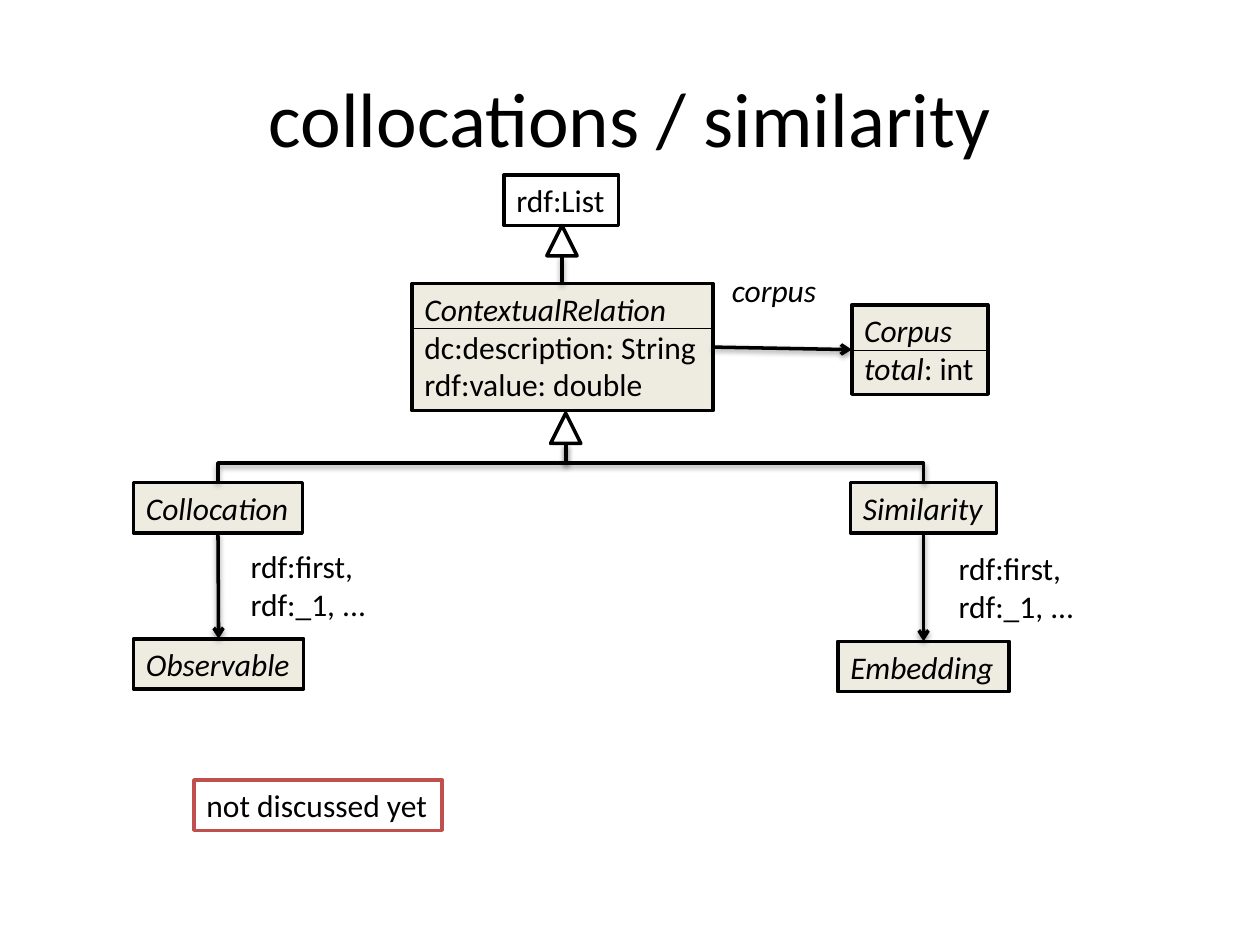
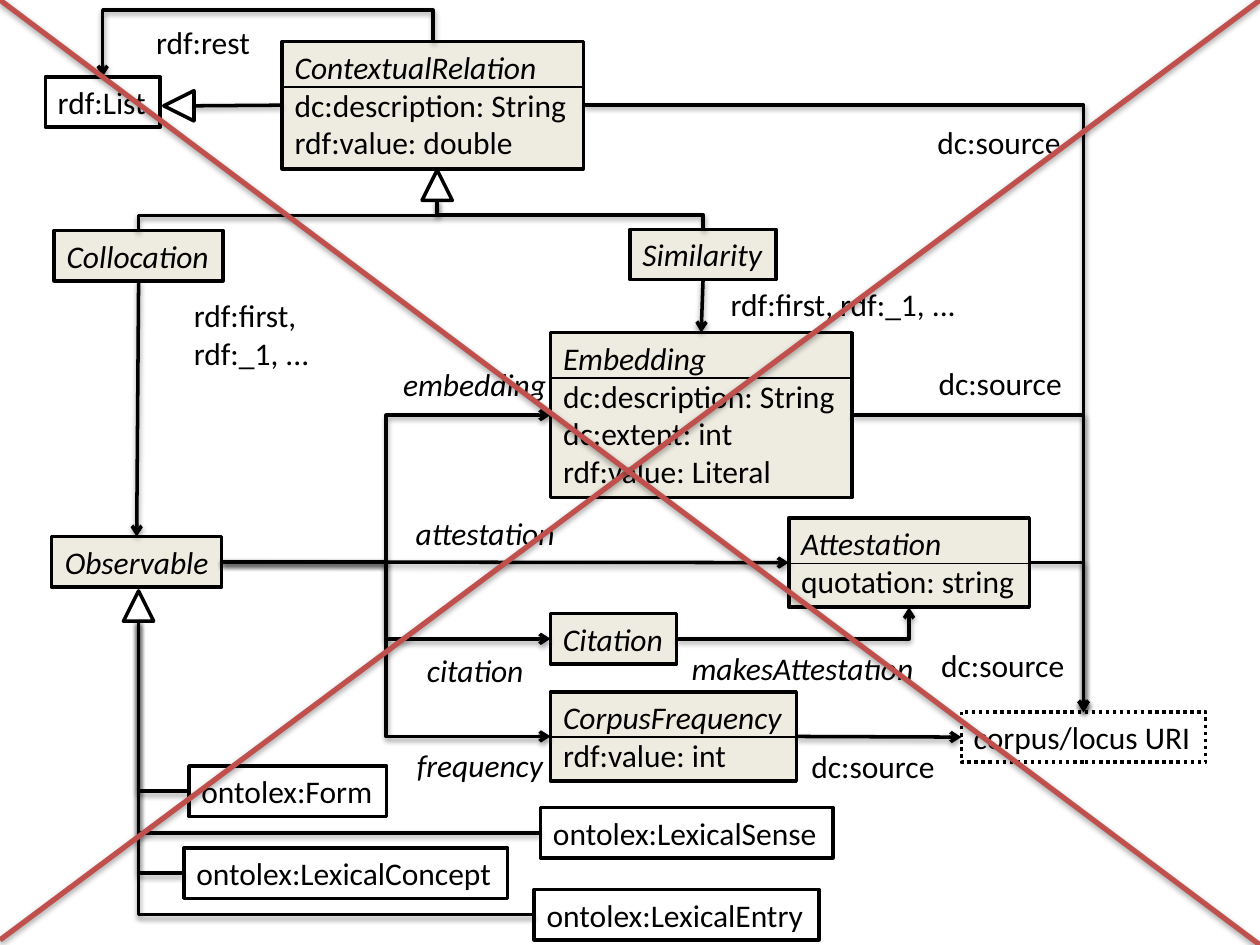
from dataclasses import dataclass
from typing import Optional

from lxml import etree
from pptx import Presentation
from pptx import util as u
from pptx.dml.color import RGBColor
from pptx.enum import dml, shapes, text
from pptx.oxml import ns

# Shared style
FONT = "Calibri"
BLACK, WHITE, CREAM, RED = "000000", "FFFFFF", "EEECE1", "C0504D"
BODY_SIZE, TITLE_SIZE = 18, 44
HEIGHTS = {1: 0.4, 2: 0.71, 3: 1.01, 4: 1.31}  # box height by line count
DIVIDER_DROP = 0.36
TRIANGLE = 0.24
LIST_ITEMS = "rdf:first,\nrdf:_1, ..."

Point = tuple[float, float]


@dataclass
class Box:
    """Framed text; words between asterisks are italic."""
    words: str
    left: float
    top: float
    width: float
    fill: Optional[str] = CREAM
    outline: Optional[str] = BLACK
    dotted: bool = False
    centred: bool = False
    wrap: bool = False

    @property
    def lines(self) -> int:
        return self.words.count("\n") + 1

    @property
    def height(self) -> float:
        return HEIGHTS[self.lines]

    @property
    def north(self) -> Point:
        return self.left + self.width / 2, self.top

    @property
    def south(self) -> Point:
        return self.left + self.width / 2, self.top + self.height

    @property
    def west(self) -> Point:
        return self.left, self.top + self.height / 2

    @property
    def east(self) -> Point:
        return self.left + self.width, self.top + self.height / 2


@dataclass
class Link:
    """Connector with 0, 1 or 2 bends."""
    start: Point
    end: Point
    bends: int = 0
    downward: bool = False  # leaves the start vertically
    arrow: bool = True
    adjust: float = 0.5
    color: str = BLACK
    weight: float = 2
    shadow: bool = True


@dataclass
class Triangle:
    left: float
    top: float
    rotation: int = 0

    @property
    def base(self) -> Point:
        return self.left + TRIANGLE / 2, self.top + TRIANGLE


def rgb(value: str) -> RGBColor:
    return RGBColor.from_string(value)


def label(words: str, left: float, top: float, width: float, wrap: bool = False) -> Box:
    return Box(words, left, top, width, fill=None, outline=None, wrap=wrap)


def plain(words: str, left: float, top: float, width: float, outline: str = BLACK) -> Box:
    return Box(words, left, top, width, WHITE, outline)


def contextual_relation(left: float, top: float) -> Box:
    return Box("*ContextualRelation*\ndc:description: String\nrdf:value: double", left, top, 2.39)


def write(frame, words: str, size: float) -> None:
    """Fill a text frame, one paragraph a line."""
    for number, line in enumerate(words.split("\n")):
        paragraph = frame.add_paragraph() if number else frame.paragraphs[0]
        paragraph.alignment = text.PP_ALIGN.LEFT
        pieces = [(piece, i % 2 == 1) for i, piece in enumerate(line.split("*")) if piece]
        paragraph.text = pieces[0][0]
        for piece, _ in pieces[1:]:
            paragraph.add_run().text = piece
        for run, (_, italic) in zip(paragraph.runs, pieces):
            run.font.name, run.font.size, run.font.italic = FONT, u.Pt(size), italic
            run.font.color.rgb = rgb(BLACK)


def draw_title(slide, words: str) -> None:
    title = slide.shapes.add_textbox(u.Inches(0.5), u.Inches(0.3), u.Inches(9), u.Inches(1.25))
    title.text_frame.word_wrap = True
    title.text_frame.vertical_anchor = text.MSO_ANCHOR.MIDDLE
    write(title.text_frame, words, TITLE_SIZE)
    title.text_frame.paragraphs[0].alignment = text.PP_ALIGN.CENTER


def draw_box(slide, box: Box) -> None:
    area = [u.Inches(v) for v in (box.left, box.top, box.width, box.height)]
    if box.outline:
        shape = slide.shapes.add_shape(shapes.MSO_SHAPE.RECTANGLE, *area)
        shape.shadow.inherit = False
        shape.line.color.rgb, shape.line.width = rgb(box.outline), u.Pt(2)
        if box.dotted:
            shape.line.dash_style = dml.MSO_LINE.ROUND_DOT
    else:
        shape = slide.shapes.add_textbox(*area)
    if box.fill:
        shape.fill.solid()
        shape.fill.fore_color.rgb = rgb(box.fill)
    else:
        shape.fill.background()
    frame = shape.text_frame
    frame.word_wrap = box.wrap
    frame.auto_size = text.MSO_AUTO_SIZE.SHAPE_TO_FIT_TEXT
    frame.vertical_anchor = text.MSO_ANCHOR.TOP
    write(frame, box.words, BODY_SIZE)
    if box.centred:
        frame.paragraphs[0].alignment = text.PP_ALIGN.CENTER
    # A class with attributes has a rule under its name
    if box.outline and box.lines > 1:
        y = box.top + DIVIDER_DROP
        draw_link(slide, Link((box.left, y), (box.left + box.width, y),
                              arrow=False, weight=0.75, shadow=False))


def draw_triangle(slide, triangle: Triangle) -> None:
    shape = slide.shapes.add_shape(shapes.MSO_SHAPE.ISOSCELES_TRIANGLE, u.Inches(triangle.left),
                                   u.Inches(triangle.top), u.Inches(TRIANGLE), u.Inches(TRIANGLE))
    shape.rotation = triangle.rotation
    shape.shadow.inherit = False
    shape.fill.solid()
    shape.fill.fore_color.rgb = rgb(WHITE)
    shape.line.color.rgb, shape.line.width = rgb(BLACK), u.Pt(2)


def draw_link(slide, link: Link) -> None:
    (x1, y1), (x2, y2) = link.start, link.end
    turn = 0
    if link.downward:
        # Lay the route out sideways around its centre, then turn it
        turn = 90 if x2 < x1 else 270
        mid_x, mid_y = (x1 + x2) / 2, (y1 + y2) / 2
        half_w, half_h = (y2 - y1) / 2, abs(x2 - x1) / 2
        if turn == 270:
            half_w = -half_w
        x1, x2 = mid_x - half_w, mid_x + half_w
        y1, y2 = mid_y - half_h, mid_y + half_h
    kind = shapes.MSO_CONNECTOR.ELBOW if link.bends else shapes.MSO_CONNECTOR.STRAIGHT
    connector = slide.shapes.add_connector(kind, *(u.Inches(v) for v in (x1, y1, x2, y2)))
    connector.line.color.rgb, connector.line.width = rgb(link.color), u.Pt(link.weight)
    properties = connector._element.spPr
    if turn:
        properties.find(ns.qn("a:xfrm")).set("rot", str(turn * 60000))
    geometry = properties.find(ns.qn("a:prstGeom"))
    if link.bends == 1:
        geometry.set("prst", "bentConnector2")
    elif link.bends == 2:
        etree.SubElement(geometry.find(ns.qn("a:avLst")), ns.qn("a:gd"),
                         name="adj1", fmla=f"val {round(link.adjust * 100000)}")
    if link.arrow:
        etree.SubElement(properties.find(ns.qn("a:ln")), ns.qn("a:tailEnd"), type="arrow")
    effects = etree.SubElement(properties, ns.qn("a:effectLst"))
    if link.shadow:
        cast = etree.SubElement(effects, ns.qn("a:outerShdw"), blurRad="40000", dist="20000",
                                dir="5400000", rotWithShape="0")
        tint = etree.SubElement(cast, ns.qn("a:srgbClr"), val=BLACK)
        etree.SubElement(tint, ns.qn("a:alpha"), val="38000")


def draw_all(slide, parts: list) -> None:
    drawers = {Box: draw_box, Triangle: draw_triangle, Link: draw_link}
    for part in parts:
        drawers[type(part)](slide, part)


def subclass_links(triangle: Triangle, *children: Box) -> list[Link]:
    return [Link(triangle.base, child.north, 2, downward=True, arrow=False) for child in children]


def build_similarity(slide) -> None:
    draw_title(slide, "collocations / similarity")
    rdf_list = plain("rdf:List", 4, 1.39, 0.91)
    relation = contextual_relation(3.27, 2.25)
    corpus = Box("*Corpus*\n*total*: int", 6.76, 2.42, 1.08)
    collocation = Box("*Collocation*", 1.06, 3.83, 1.34)
    similarity = Box("*Similarity*", 6.75, 3.83, 1.16)
    observable = Box("*Observable*", 1.06, 5.07, 1.35)
    embedding = Box("*Embedding*", 6.65, 5.09, 1.36)
    list_tip, relation_tip = Triangle(4.34, 1.79), Triangle(4.37, 3.28)
    draw_all(slide, [
        rdf_list, relation, corpus, collocation, similarity, observable, embedding,
        plain("not discussed yet", 1.54, 6.19, 1.97, RED),
        list_tip, relation_tip,
        Link(list_tip.base, (list_tip.base[0], relation.top), arrow=False),
        *subclass_links(relation_tip, collocation, similarity),
        Link(relation.east, corpus.west),
        Link(collocation.south, observable.north),
        Link(similarity.south, embedding.north),
        label("*corpus*", 5.71, 2.1, 0.89),
        label(LIST_ITEMS, 1.89, 4.29, 1.13),
        label(LIST_ITEMS, 7.51, 4.31, 1.13),
    ])


def build_overview(slide) -> None:
    # Classes
    rdf_list = plain("rdf:List", 0.36, 0.61, 0.91)
    relation = contextual_relation(2.24, 0.33)
    collocation = Box("*Collocation*", 0.43, 1.83, 1.34)
    similarity = Box("*Similarity*", 5, 1.82, 1.16)
    observable = Box("*Observable*", 0.41, 4.26, 1.35, centred=True)
    embedding = Box("*Embedding*\ndc:description: String\ndc:extent: int\nrdf:value: Literal",
                    4.37, 2.64, 2.39)
    attestation = Box("*Attestation*\nquotation: string", 6.26, 4.11, 1.91)
    citation = Box("*Citation*", 4.37, 4.87, 1)
    frequency = Box("*CorpusFrequency*\nrdf:value: int", 4.37, 5.49, 1.95)
    locus = Box("corpus/locus URI", 7.63, 5.65, 1.94, fill=None, dotted=True)
    ontolex = [
        plain("ontolex:Form", 1.5, 6.08, 1.57),
        plain("ontolex:LexicalSense", 4.29, 6.41, 2.32),
        plain("ontolex:LexicalConcept", 1.46, 6.73, 2.57),
        plain("ontolex:LexicalEntry", 4.24, 7.06, 2.26),
    ]
    relation_tip, observable_tip = Triangle(3.35, 1.35), Triangle(0.98, 4.69)
    draw_all(slide, [
        rdf_list, relation, collocation, similarity, observable, embedding,
        attestation, citation, frequency, locus, *ontolex,
        relation_tip, observable_tip, Triangle(1.3, 0.72, 270),
    ])
    # Relations
    draw_all(slide, [
        Link((1.54, 0.84), relation.west, arrow=False),
        Link(relation.north, rdf_list.north, 2, downward=True, adjust=-0.89),
        *subclass_links(relation_tip, collocation, similarity),
        *(Link(observable_tip.base, entry.west, 1, downward=True, arrow=False)
          for entry in ontolex),
        Link(collocation.south, observable.north),
        Link(similarity.south, embedding.north),
        Link(observable.east, attestation.west),
        *(Link(observable.east, target.west, 2) for target in (embedding, citation, frequency)),
        *(Link(origin.east, locus.north, 1) for origin in (relation, embedding, attestation)),
        Link(citation.east, attestation.south, 1),
        Link(frequency.east, locus.west),
    ])
    # Relation names
    draw_all(slide, [
        label("rdf:rest", 1.14, 0.13, 0.95),
        label(LIST_ITEMS, 1.44, 2.3, 1.13),
        label("rdf:first, rdf:_1, ...", 5.7, 2.21, 2.69, wrap=True),
        label("*embedding*", 3.1, 2.85, 1.35),
        label("*attestation*", 3.2, 4.03, 1.32),
        label("*citation*", 3.29, 5.12, 0.97),
        label("*frequency*", 3.21, 5.87, 1.24),
        label("*makesAttestation*", 5.39, 5.1, 1.99),
        *(label("dc:source", left, top, 1.19)
          for left, top in ((7.34, 0.93), (7.35, 2.84), (7.37, 5.08), (6.34, 5.88))),
    ])
    # Strike-through
    draw_all(slide, [Link(start, end, arrow=False, color=RED, weight=3)
                     for start, end in (((0, 7.46), (10, 0)), ((0, 0), (10, 7.5)))])


def main() -> None:
    deck = Presentation()
    deck.slide_width, deck.slide_height = u.Inches(10), u.Inches(7.5)
    for build in (build_similarity, build_overview):
        build(deck.slides.add_slide(deck.slide_layouts[6]))
    deck.save("out.pptx")


if __name__ == "__main__":
    main()
